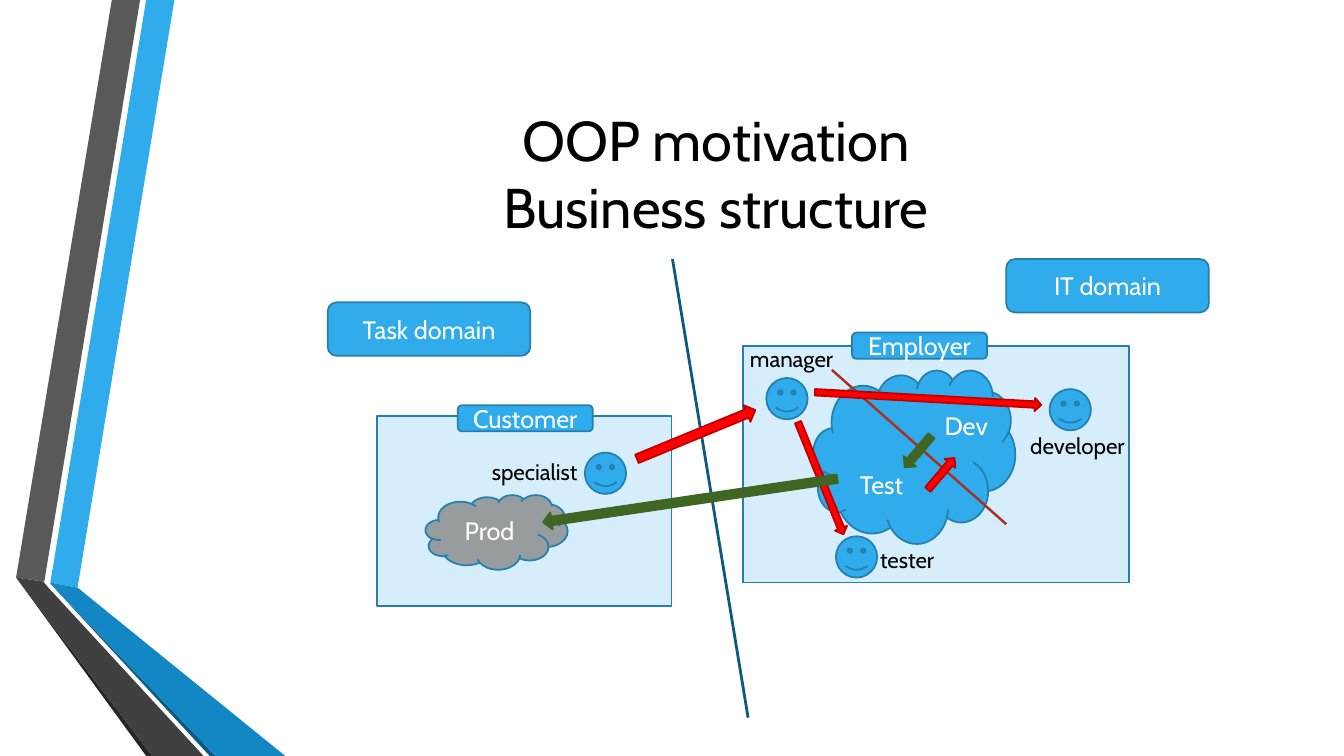
"""Build the OOP motivation slide: business structure across two domains."""
from dataclasses import dataclass

from lxml import etree
from pptx import Presentation
from pptx import util as u
from pptx.dml.color import RGBColor
from pptx.enum import shapes, text
from pptx.oxml.ns import qn


@dataclass(frozen=True)
class Theme:
    font: str = "Cabin"
    title_size: int = 40
    box_size: int = 18
    role_size: int = 16
    outline: float = 1.25
    black: str = "000000"
    white: str = "FFFFFF"
    blue: str = "30ACEC"
    edge: str = "247FAF"
    pale: str = "D6EEFB"
    grey: str = "979D9F"
    navy: str = "0C5A82"
    rust: str = "A93023"
    red: str = "FF0000"
    dark_red: str = "C00000"
    green: str = "3F6623"


THEME = Theme()
KIND = shapes.MSO_SHAPE

RIBBONS = [
    ("30ACEC", [(0.5, 5.78), (0.77, 5.83), (1.73, 0), (1.45, 0)]),
    ("595959", [(1.39, 0), (1.11, 0), (0.16, 5.73), (0.44, 5.77)]),
    ("262626", [(0.16, 5.73), (1.45, 7.5), (1.51, 7.5)]),
    ("0C5A82", [(0.5, 5.79), (2.08, 7.5), (2.14, 7.5)]),
    ("1287C3", [(0.5, 5.79), (2.14, 7.5), (2.83, 7.5), (0.77, 5.83), (0.5, 5.78)]),
    ("404040", [(2.02, 7.5), (0.48, 5.83), (0.43, 5.77), (0.16, 5.73), (1.51, 7.5)]),
]
TITLE = ("OOP motivation\vBusiness structure", (1.62, 0.75, 10.96, 1.92))
DOMAIN_DIVIDER = ((7.42, 7.12), (6.67, 2.57), THEME.navy, 2)
CLOUD_DIVIDER = ((8.25, 3.67), (9.98, 5.2), THEME.rust, 1.75)
FRAMES = [(7.37, 3.43, 3.83, 2.35), (3.74, 4.13, 2.92, 1.88)]
CLOUDS = [
    ((8.07, 3.67, 2, 1.72), THEME.blue),
    ((4.22, 4.91, 1.41, 0.74), THEME.grey),
]
STAGES = [
    ("Dev", (9.27, 4.02)),
    ("Test", (8.43, 4.61)),
    ("Prod", (4.51, 5.06)),
]
STAGE_SIZE = (0.83, 0.4)
FACES = [(5.8, 4.49), (7.6, 3.75), (10.41, 3.86), (8.29, 5.32)]
FACE_SIZE = (0.41, 0.41)
ROLES = [
    ("manager", (7.34, 3.37)),
    ("developer", (10.12, 4.24)),
    ("tester", (8.63, 5.37)),
    ("specialist", (4.78, 4.5)),
]
ROLE_SIZE = (1.16, 0.37)
PARTY_SIZE = (1.34, 0.26)
DOMAIN_SIZE = (2.01, 0.53)
PLATES = [
    ("Employer", (8.45, 3.3), PARTY_SIZE),
    ("Customer", (4.54, 4.02), PARTY_SIZE),
    ("Task domain", (3.25, 3), DOMAIN_SIZE),
    ("IT domain", (9.98, 2.57), DOMAIN_SIZE),
]
REQUEST = (THEME.red, THEME.dark_red)
DELIVERY = (THEME.green, THEME.green)
ARROWS = [
    ((8.9, 4.4, 0.41, 0.16), 130.2, DELIVERY),
    ((6.27, 4.22, 1.27, 0.18), 337.6, REQUEST),
    ((8.08, 3.89, 2.25, 0.13), 3.2, REQUEST),
    ((7.54, 4.68, 1.2, 0.13), 67.9, REQUEST),
    ((5.37, 4.88, 2.95, 0.17), 171.6, DELIVERY),
    ((9.13, 4.63, 0.41, 0.14), 310.3, REQUEST),
]


def inches(values):
    return [u.Inches(value) for value in values]


def paint(shape, fill, edge=None):
    shape.shadow.inherit = False
    shape.fill.solid()
    shape.fill.fore_color.rgb = RGBColor.from_string(fill)
    if edge is None:
        shape.line.fill.background()
    else:
        shape.line.color.rgb = RGBColor.from_string(edge)
        shape.line.width = u.Pt(THEME.outline)


def write(shape, words, size, color, centred=False):
    frame = shape.text_frame
    frame.word_wrap = True
    frame.text = words
    if centred:
        frame.vertical_anchor = text.MSO_ANCHOR.MIDDLE
    for para in frame.paragraphs:
        para.alignment = text.PP_ALIGN.CENTER if centred else text.PP_ALIGN.LEFT
        for span in para.runs:
            span.font.name = THEME.font
            span.font.size = u.Pt(size)
            span.font.color.rgb = RGBColor.from_string(color)


def add_ribbon(page, fill, points):
    start, *rest = [inches(point) for point in points]
    builder = page.shapes.build_freeform(*start, scale=1.0)
    builder.add_line_segments(rest, close=True)
    paint(builder.convert_to_shape(), fill)


def add_box(page, kind, place, fill=THEME.blue, edge=THEME.edge):
    box = page.shapes.add_shape(kind, *inches(place))
    paint(box, fill, edge)
    return box


def add_label(page, words, place, size, color, centred=False):
    label = page.shapes.add_textbox(*inches(place))
    write(label, words, size, color, centred)


def add_divider(page, start, end, color, width):
    divider = page.shapes.add_connector(
        shapes.MSO_CONNECTOR.STRAIGHT, *inches(start + end))
    divider.line.color.rgb = RGBColor.from_string(color)
    divider.line.width = u.Pt(width)
    etree.SubElement(divider.element.spPr, qn("a:effectLst"))


def main():
    deck = Presentation()
    deck.slide_width, deck.slide_height = inches((13.33, 7.5))
    page = deck.slides.add_slide(deck.slide_layouts[6])

    for fill, points in RIBBONS:
        add_ribbon(page, fill, points)
    add_divider(page, *DOMAIN_DIVIDER)
    add_label(page, *TITLE, THEME.title_size, THEME.black, centred=True)
    for place in FRAMES:
        add_box(page, KIND.RECTANGLE, place, THEME.pale)
    for place, fill in CLOUDS:
        add_box(page, KIND.CLOUD, place, fill)
    add_divider(page, *CLOUD_DIVIDER)
    for words, corner in STAGES:
        add_label(page, words, corner + STAGE_SIZE, THEME.box_size, THEME.white)
    for corner in FACES:
        add_box(page, KIND.SMILEY_FACE, corner + FACE_SIZE)
    for words, corner, size in PLATES:
        plate = add_box(page, KIND.ROUNDED_RECTANGLE, corner + size)
        write(plate, words, THEME.box_size, THEME.white, centred=True)
    for place, angle, colors in ARROWS:
        add_box(page, KIND.RIGHT_ARROW, place, *colors).rotation = angle
    for words, corner in ROLES:
        add_label(page, words, corner + ROLE_SIZE, THEME.role_size, THEME.black)

    deck.save("out.pptx")


if __name__ == "__main__":
    main()
